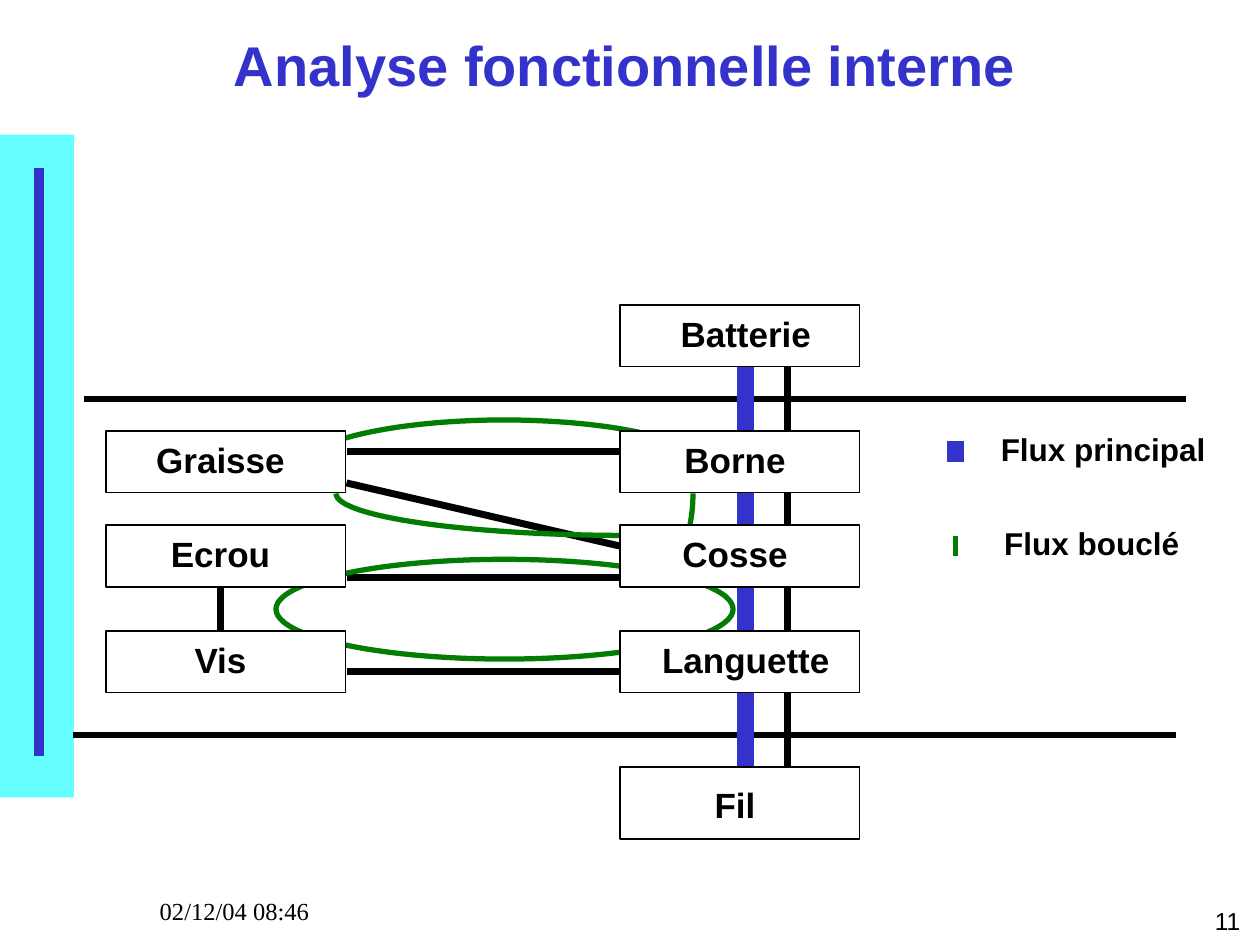
from math import cos, pi, sin
from typing import NamedTuple

from lxml.etree import SubElement
from pptx import Presentation
from pptx.dml.color import RGBColor
from pptx.enum.shapes import MSO_CONNECTOR, MSO_SHAPE
from pptx.enum.text import MSO_ANCHOR, MSO_AUTO_SIZE, PP_ALIGN
from pptx.oxml.ns import qn
from pptx.util import Pt

HEX = {"cyan": "66FFFF", "blue": "3333CC", "green": "037C03",
       "black": "000000", "white": "FFFFFF"}


class Box(NamedTuple):
    text: str
    left: float
    top: float
    shift: float
    high: float = 35.3
    drop: float = 0
    solid: bool = True


class Line(NamedTuple):
    x1: float
    y1: float
    x2: float
    y2: float
    wide: float = 4
    tint: str = "black"


class Arc(NamedTuple):
    x: float
    y: float
    rx: float
    ry: float


class Note(NamedTuple):
    text: str
    left: float
    top: float
    wide: float
    high: float
    size: float
    align: PP_ALIGN
    font: str = "Arial"
    bold: bool = False


LEFT, RIGHT, WIDE = 60.5, 354.2, 137
BOXES = [
    Box("Batterie", RIGHT, 174.2, 3.5, solid=False),
    Box("Fil", RIGHT, 438.5, -2.7, 41, 2, False),
    Box("Graisse", LEFT, 246.2, -3),
    Box("Borne", RIGHT, 246.2, -2.7),
    Box("Ecrou", LEFT, 300.2, -3),
    Box("Vis", LEFT, 360.5, -3),
    Box("Cosse", RIGHT, 300.2, -2.7),
    Box("Languette", RIGHT, 360.5, 3.5),
]
GAPS = [(210, 246), (282, 300), (336, 360), (396, 438)]
LINES = [
    Line(42, 420, 672, 420, 3),
    Line(48, 228, 678, 228, 3),
    *(Line(450, a, 450, b) for a, b in GAPS),
    *(Line(198, y, 354, y) for y in (384, 330, 258)),
    Line(198, 276, 354, 312),
    *(Line(426, a, 426, b, 10, "blue") for a, b in GAPS),
    Line(126, 336, 126, 360),
    Line(546, 252, 546, 264, 10, "blue"),
    Line(546, 306, 546, 318, 3, "green"),
]
ARCS = [Arc(288, 270, 120, -30), Arc(288, 270, -120, -30),
        Arc(360, 282, -168, 24), Arc(378, 282, 18, 42)]
NOTES = [
    Note("11", 566, 515.5, 149.8, 23, 14, PP_ALIGN.RIGHT),
    Note("02/12/04 08:46", 84.2, 509.8, 149.8, 23, 14, PP_ALIGN.LEFT,
         "Times New Roman"),
    Note("Flux principal", 564.5, 244.1, 131.8, 27.4, 18, PP_ALIGN.CENTER,
         bold=True),
    Note("Flux bouclé", 566.6, 298.1, 114.5, 27.4, 18, PP_ALIGN.CENTER,
         bold=True),
]


def color(name: str) -> RGBColor:
    return RGBColor.from_string(HEX[name])


def write(frame, text: str, size: float, align: PP_ALIGN,
          font: str = "Arial", bold: bool = True, tint: str = "black") -> None:
    frame.text = text
    para = frame.paragraphs[0]
    para.alignment = align
    para.line_spacing = 0.93
    para.font.name = font
    para.font.size = Pt(size)
    para.font.bold = bold
    para.font.color.rgb = color(tint)


def style(shape, fill: str = "", line: str = "", wide: float = 1) -> None:
    shape.shadow.inherit = False
    if fill:
        shape.fill.solid()
        shape.fill.fore_color.rgb = color(fill)
    else:
        shape.fill.background()
    if line:
        shape.line.color.rgb = color(line)
        shape.line.width = Pt(wide)
    else:
        shape.line.fill.background()


def draw_line(shapes, line: Line) -> None:
    link = shapes.add_connector(MSO_CONNECTOR.STRAIGHT, Pt(line.x1),
                                Pt(line.y1), Pt(line.x2), Pt(line.y2))
    link.line.color.rgb = color(line.tint)
    link.line.width = Pt(line.wide)
    SubElement(link._element.spPr, qn("a:effectLst"))


def draw_arc(shapes, arc: Arc, steps: int = 30) -> None:
    turns = [pi / 2 * i / steps for i in range(steps + 1)]
    dots = [(Pt(arc.x + arc.rx * cos(t)), Pt(arc.y + arc.ry * sin(t)))
            for t in turns]
    pen = shapes.build_freeform(*dots[0])
    pen.add_line_segments(dots[1:], close=False)
    style(pen.convert_to_shape(), line="green", wide=3)


def draw_box(shapes, box: Box) -> None:
    rect = shapes.add_shape(MSO_SHAPE.RECTANGLE, Pt(box.left), Pt(box.top),
                            Pt(WIDE), Pt(box.high))
    style(rect, "white" if box.solid else "", "black")
    frame = rect.text_frame
    frame.vertical_anchor = MSO_ANCHOR.MIDDLE
    frame.margin_left = Pt(7.2 + box.shift)
    frame.margin_right = Pt(7.2 - box.shift)
    frame.margin_top = Pt(3.6 + box.drop)
    frame.margin_bottom = Pt(3.6 - box.drop)
    write(frame, box.text, 20, PP_ALIGN.CENTER)


def draw_note(shapes, note: Note) -> None:
    area = shapes.add_textbox(Pt(note.left), Pt(note.top), Pt(note.wide),
                              Pt(note.high))
    area.text_frame.word_wrap = not note.bold
    write(area.text_frame, note.text, note.size, note.align, note.font,
          note.bold)


def main() -> None:
    deck = Presentation()
    deck.slide_width, deck.slide_height = Pt(720), Pt(540)
    slide = deck.slides.add_slide(deck.slide_layouts[5])
    shapes = slide.shapes

    title = shapes.title
    title.left, title.top = Pt(36), Pt(5.8)
    title.width, title.height = Pt(642.2), Pt(66.2)
    title.text_frame.auto_size = MSO_AUTO_SIZE.NONE
    title.text_frame.vertical_anchor = MSO_ANCHOR.MIDDLE
    write(title.text_frame, "Analyse fonctionnelle interne", 32,
          PP_ALIGN.CENTER, tint="blue")

    band = shapes.add_shape(MSO_SHAPE.RECTANGLE, 0, Pt(77), Pt(42.3), Pt(378.7))
    style(band, "cyan")
    draw_line(shapes, Line(22.3, 96, 22.3, 432, 6, "blue"))

    for line in LINES:
        draw_line(shapes, line)
    for arc in ARCS:
        draw_arc(shapes, arc)
    loop = shapes.add_shape(MSO_SHAPE.OVAL, Pt(157.7), Pt(319.6), Pt(261.2),
                            Pt(57))
    style(loop, line="green", wide=3)
    for box in BOXES:
        draw_box(shapes, box)
    for note in NOTES:
        draw_note(shapes, note)

    deck.save("out.pptx")


if __name__ == "__main__":
    main()
